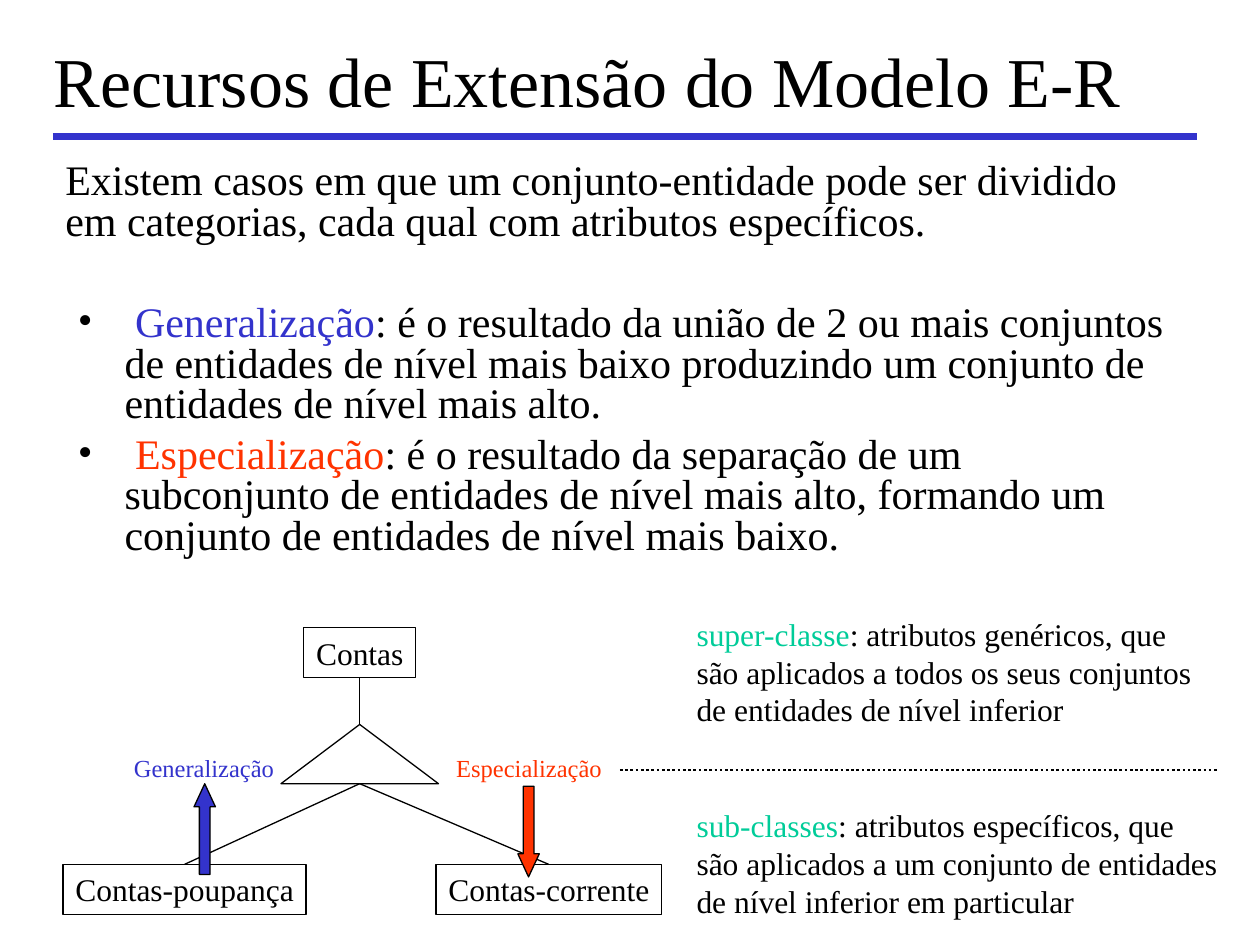
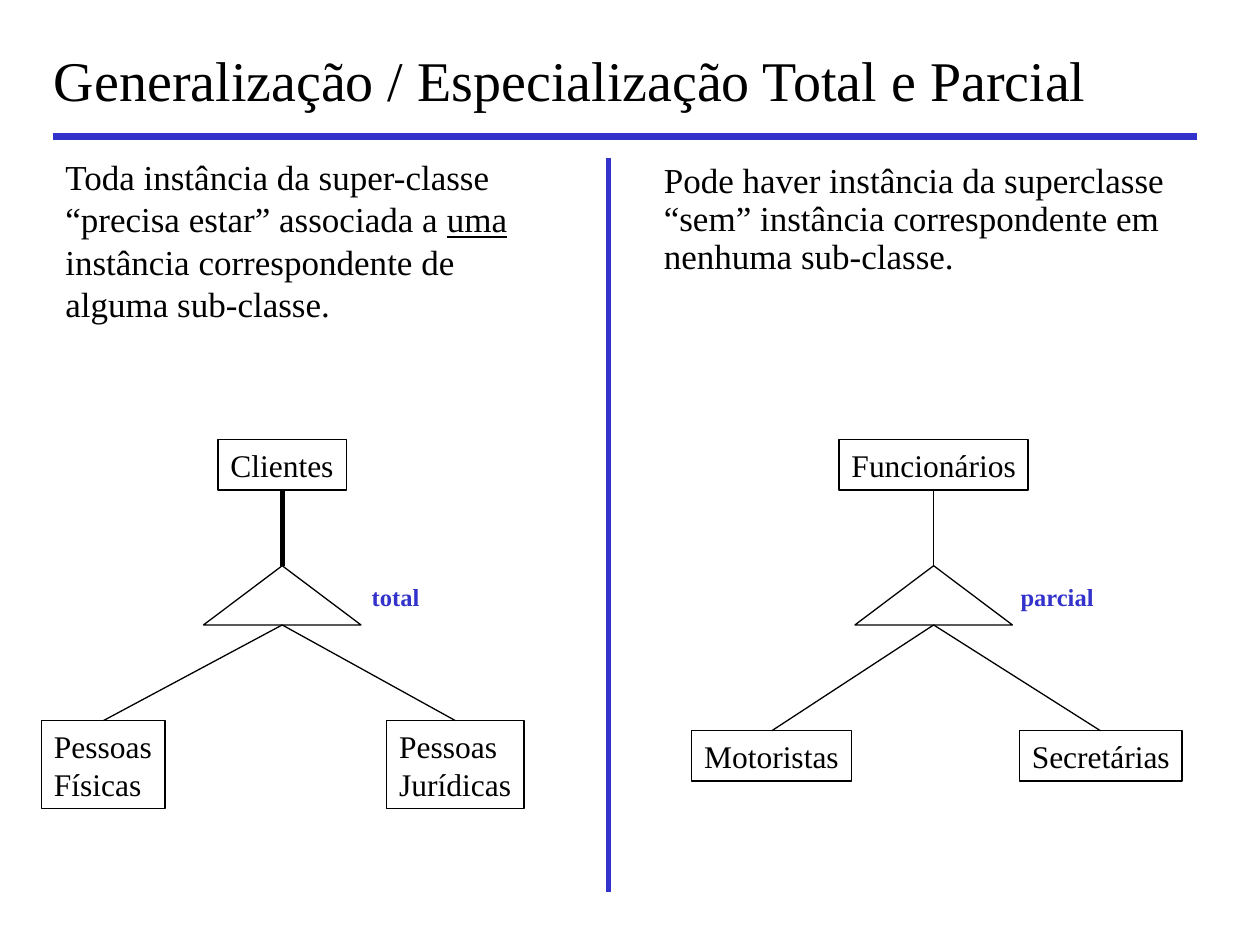
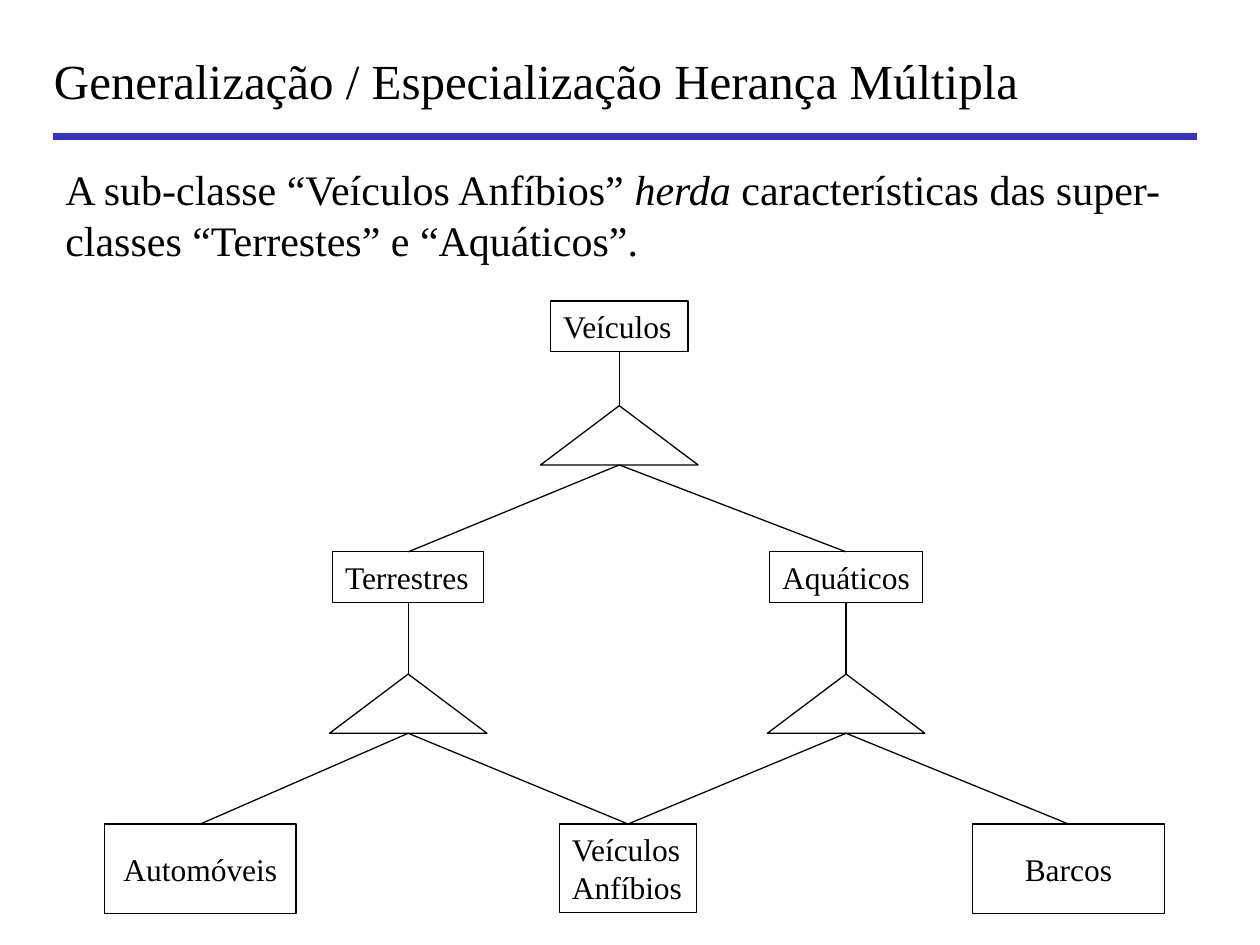
from lxml import etree
from pptx import Presentation
from pptx.dml.color import RGBColor
from pptx.enum.dml import MSO_LINE
from pptx.enum.shapes import MSO_CONNECTOR, MSO_SHAPE
from pptx.enum.text import MSO_ANCHOR, PP_ALIGN
from pptx.oxml.ns import qn
from pptx.util import Inches, Pt

BLACK = RGBColor(0x00, 0x00, 0x00)
BLUE = RGBColor(0x33, 0x33, 0xCC)
RED = RGBColor(0xFF, 0x33, 0x00)
GREEN = RGBColor(0x00, 0xCC, 0x99)
FONT = "Times New Roman"

THIN = 0.75
TRIANGLE_WIDTH, TRIANGLE_HEIGHT = 1.25, 0.47
MARGIN = 0.42
BODY_TOP = 1.25


def add_run(paragraph, text, size, color=BLACK, bold=None, italic=None, underline=None):
    run = paragraph.add_run()
    run.text = text
    font = run.font
    font.name, font.size = FONT, Pt(size)
    font.color.rgb = color
    font.bold, font.italic, font.underline = bold, italic, underline


def fill_text(shape, paragraphs, size, align=PP_ALIGN.LEFT, anchor=MSO_ANCHOR.TOP,
              wrap=True, spacing=None, before=0):
    """Write paragraphs, each a list of (text, run options) pairs."""
    frame = shape.text_frame
    frame.word_wrap = wrap
    frame.vertical_anchor = anchor
    for index, runs in enumerate(paragraphs):
        paragraph = frame.add_paragraph() if index else frame.paragraphs[0]
        paragraph.alignment = align
        paragraph.space_before = Pt(before)
        if spacing:
            paragraph.line_spacing = spacing
        for text, options in runs:
            add_run(paragraph, text, size, **options)


def add_text(slide, left, top, width, height, paragraphs, size, **layout):
    box = slide.shapes.add_textbox(Inches(left), Inches(top), Inches(width), Inches(height))
    fill_text(box, paragraphs, size, **layout)
    return box


def plain(*lines):
    return [[(line, {})] for line in lines]


def add_bullet(paragraph):
    properties = paragraph._p.get_or_add_pPr()
    properties.set("marL", str(Inches(0.47)))
    properties.set("indent", str(-Inches(0.37)))
    etree.SubElement(properties, qn("a:buFont")).set("typeface", FONT)
    etree.SubElement(properties, qn("a:buChar")).set("char", "•")


def add_line(slide, start=(0, 0), end=(0, 0), color=BLACK, width=THIN):
    line = slide.shapes.add_connector(
        MSO_CONNECTOR.STRAIGHT, *(Inches(value) for value in (*start, *end)))
    line.line.color.rgb = color
    line.line.width = Pt(width)
    etree.SubElement(line._element.spPr, qn("a:effectLst"))
    return line


def join(slide, upper, lower, width=THIN):
    """Join the bottom of one shape to the top of another."""
    line = add_line(slide, width=width)
    line.begin_connect(upper, 2)
    line.end_connect(lower, 0)


def add_outline(slide, kind, left, top, width, height, fill=None):
    shape = slide.shapes.add_shape(
        kind, Inches(left), Inches(top), Inches(width), Inches(height))
    shape.shadow.inherit = False
    if fill is None:
        shape.fill.background()
    else:
        shape.fill.solid()
        shape.fill.fore_color.rgb = fill
    shape.line.color.rgb = BLACK
    shape.line.width = Pt(THIN)
    return shape


def add_entity(slide, left, top, width, *lines):
    entity = add_outline(slide, MSO_SHAPE.RECTANGLE, left, top, width, 0.1 + 0.3 * len(lines))
    fill_text(entity, plain(*lines), 18, wrap=False)
    return entity


def add_tall_entity(slide, left, top, name):
    entity = add_outline(slide, MSO_SHAPE.RECTANGLE, left, top, 1.52, 0.71)
    fill_text(entity, plain(name), 18, align=PP_ALIGN.CENTER, anchor=MSO_ANCHOR.MIDDLE)
    return entity


def add_generalization(slide, parent, children, gap, stem_width=THIN):
    """Hang a triangle under the parent and join it to every child."""
    center = (parent.left + parent.width / 2) / Inches(1)
    bottom = (parent.top + parent.height) / Inches(1)
    triangle = add_outline(slide, MSO_SHAPE.FLOWCHART_EXTRACT, center - TRIANGLE_WIDTH / 2,
                           bottom + gap, TRIANGLE_WIDTH, TRIANGLE_HEIGHT)
    join(slide, parent, triangle, stem_width)
    for child in children:
        join(slide, triangle, child)


def add_label(slide, left, top, width, text, color, bold=None):
    add_text(slide, left, top, width, 0.34, [[(text, {"color": color, "bold": bold})]], 14,
             align=PP_ALIGN.CENTER, wrap=False)


def add_direction(slide, left, top, color, rotation=0):
    arrow = add_outline(slide, MSO_SHAPE.UP_ARROW, left, top, 0.17, 0.72, color)
    arrow.adjustments[0] = 0.5
    arrow.adjustments[1] = 1.08
    arrow.rotation = rotation


def add_titled_slide(presentation, title, size):
    slide = presentation.slides.add_slide(presentation.slide_layouts[6])
    add_text(slide, 0.33, 0.17, 9.39, 0.92, plain(title), size, anchor=MSO_ANCHOR.MIDDLE)
    add_line(slide, (MARGIN, 1.08), (9.5, 1.08), BLUE, 4)
    return slide


def add_definitions(slide, left, top):
    body = add_text(slide, left, top, 9, 3.58, [
        [("Existem casos em que um conjunto-entidade pode ser dividido em categorias, "
          "cada qual com atributos específicos.", {})],
        [(" ", {}), ("Generalização", {"color": BLUE}),
         (": é o resultado da união de 2 ou mais conjuntos de entidades de nível mais baixo "
          "produzindo um conjunto de entidades de nível mais alto.", {})],
        [(" ", {}), ("Especialização", {"color": RED}),
         (": é o resultado da separação de um subconjunto de entidades de nível mais alto, "
          "formando um conjunto de entidades de nível mais baixo.", {})],
    ], 24, spacing=0.8, before=6)
    definitions = body.text_frame.paragraphs[1:]
    definitions[0].space_before = Pt(35)
    for paragraph in definitions:
        add_bullet(paragraph)


def add_accounts_diagram(slide, left, top):
    accounts = add_entity(slide, left + 1.91, top, 0.89, "Contas")
    savings = add_entity(slide, left, top + 1.88, 1.93, "Contas-poupança")
    checking = add_entity(slide, left + 2.96, top + 1.88, 1.79, "Contas-corrente")
    add_generalization(slide, accounts, [savings, checking], 0.37)
    add_direction(slide, left + 1.04, top + 1.24, BLUE)
    add_label(slide, left + 0.42, top + 0.95, 1.4, "Generalização", BLUE)
    add_direction(slide, left + 3.61, top + 1.26, RED, 180)
    add_label(slide, left + 3, top + 0.95, 1.4, "Especialização", RED)


def add_class_notes(slide, left, top):
    notes = [
        ("super-classe", ": atributos genéricos, que",
         "são aplicados a todos os seus conjuntos", "de entidades de nível inferior"),
        ("sub-classes", ": atributos específicos, que",
         "são aplicados a um conjunto de entidades", "de nível inferior em particular"),
    ]
    for index, (term, meaning, *rest) in enumerate(notes):
        add_text(slide, left, top + 1.52 * index, 4.34, 1,
                 [[(term, {"color": GREEN}), (meaning, {})], *plain(*rest)], 18, wrap=False)
    divider = add_line(slide, (left - 0.51, top + 1.28), (left + 4.24, top + 1.28), width=1.5)
    divider.line.dash_style = MSO_LINE.ROUND_DOT


def add_total_column(slide, left, top):
    add_text(slide, left, top, 4.25, 1.5, [
        *plain("Toda instância da super-classe"),
        [("“precisa estar” associada a ", {}), ("uma", {"underline": True})],
        *plain("instância correspondente de", "alguma sub-classe."),
    ], 20, spacing=0.8, before=5)
    clients = add_entity(slide, left + 1.31, top + 2.24, 1.02, "Clientes")
    people = add_entity(slide, left - 0.09, top + 4.47, 0.98, "Pessoas", "Físicas")
    companies = add_entity(slide, left + 2.65, top + 4.47, 1.09, "Pessoas", "Jurídicas")
    add_generalization(slide, clients, [people, companies], 0.6, stem_width=3)
    add_label(slide, left + 2.38, top + 3.32, 0.68, "total", BLUE, bold=True)


def add_partial_column(slide, left, top):
    add_text(slide, left, top, 4.25, 0.92, plain(
        "Pode haver instância da superclasse “sem” instância correspondente em "
        "nenhuma sub-classe."), 20, spacing=0.9, before=5)
    employees = add_entity(slide, left + 1.49, top + 2.24, 1.5, "Funcionários")
    drivers = add_entity(slide, left + 0.32, top + 4.55, 1.27, "Motoristas")
    secretaries = add_entity(slide, left + 2.92, top + 4.55, 1.29, "Secretárias")
    add_generalization(slide, employees, [drivers, secretaries], 0.6)
    add_label(slide, left + 2.78, top + 3.32, 0.88, "parcial", BLUE, bold=True)


def add_vehicles_diagram(slide, left, top):
    vehicles = add_entity(slide, left + 3.54, top, 1.09, "Veículos")
    land = add_entity(slide, left + 1.81, top + 1.99, 1.2, "Terrestres")
    water = add_entity(slide, left + 5.28, top + 1.99, 1.21, "Aquáticos")
    cars = add_tall_entity(slide, left, top + 4.15, "Automóveis")
    amphibians = add_entity(slide, left + 3.61, top + 4.15, 1.09, "Veículos", "Anfíbios")
    boats = add_tall_entity(slide, left + 6.89, top + 4.15, "Barcos")
    add_generalization(slide, vehicles, [land, water], 0.43)
    add_generalization(slide, land, [cars, amphibians], 0.57)
    add_generalization(slide, water, [amphibians, boats], 0.57)


def build_extension_slide(presentation):
    slide = add_titled_slide(presentation, "Recursos de Extensão do Modelo E-R", 40)
    add_definitions(slide, MARGIN, BODY_TOP)
    add_accounts_diagram(slide, 0.5, 4.98)
    add_class_notes(slide, 5.43, 4.83)


def build_total_partial_slide(presentation):
    slide = add_titled_slide(
        presentation, "Generalização / Especialização Total e Parcial", 32)
    add_total_column(slide, MARGIN, BODY_TOP)
    add_partial_column(slide, 5.17, BODY_TOP)
    add_line(slide, (4.83, BODY_TOP), (4.83, 7.08), BLUE, 3)


def build_inheritance_slide(presentation):
    slide = add_titled_slide(
        presentation, "Generalização / Especialização Herança Múltipla", 28)
    add_text(slide, MARGIN, BODY_TOP, 9.08, 1, [[
        ("A sub-classe “Veículos Anfíbios” ", {}),
        ("herda", {"italic": True}),
        (" características das super-classes “Terrestes” e “Aquáticos”.", {}),
    ]], 24, before=6)
    add_vehicles_diagram(slide, 0.83, 2.39)


def main():
    presentation = Presentation()
    presentation.slide_width, presentation.slide_height = Inches(10), Inches(7.5)
    build_extension_slide(presentation)
    build_total_partial_slide(presentation)
    build_inheritance_slide(presentation)
    presentation.save("out.pptx")


if __name__ == "__main__":
    main()
